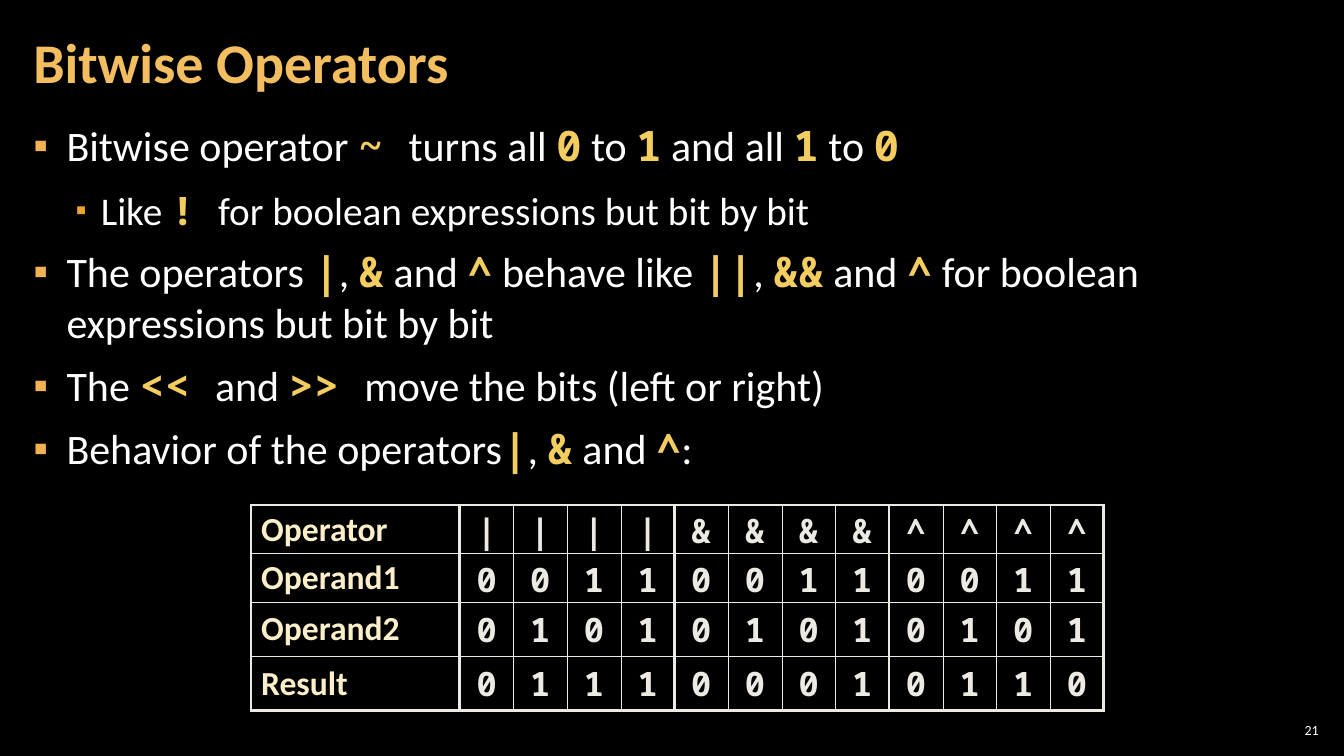
import dataclasses
import typing

import lxml.etree
import pptx
import pptx.dml.color
import pptx.enum.text
import pptx.oxml.ns
import pptx.util

Inches = pptx.util.Inches
Pt = pptx.util.Pt
RGBColor = pptx.dml.color.RGBColor
Align = pptx.enum.text.PP_ALIGN
Anchor = pptx.enum.text.MSO_ANCHOR

BLACK = RGBColor(0x00, 0x00, 0x00)
WHITE = RGBColor(0xFF, 0xFF, 0xFF)
TITLE_GOLD = RGBColor(0xF3, 0xBE, 0x60)
CODE_YELLOW = RGBColor(0xF3, 0xCD, 0x60)
BULLET_GOLD = RGBColor(0xF2, 0xB2, 0x54)
SUB_BULLET_GOLD = RGBColor(0xF0, 0xA2, 0x2E)
LABEL_CREAM = RGBColor(0xFB, 0xEE, 0xC9)
GRID_IVORY = RGBColor(0xEC, 0xEA, 0xE3)

PROSE_FONT = "Calibri"
CODE_FONT = "Noto Sans Mono"
THICK, THIN = Pt(2.25), Pt(0.25)


@dataclasses.dataclass(frozen=True)
class Level:
    size: int
    indent: float
    hanging: float
    bullet_color: RGBColor
    bullet_percent: int


@dataclasses.dataclass(frozen=True)
class Point:
    text: str
    level: int = 0


@dataclasses.dataclass(frozen=True)
class Operator:
    symbol: str
    compute: typing.Callable[[int, int], int]


LEVELS = (
    Level(30, 0.33, 0.33, BULLET_GOLD, 100),
    Level(28, 0.67, 0.25, SUB_BULLET_GOLD, 80),
)

POINTS = (
    Point("Bitwise operator `~ `turns all `0` to `1` and all `1` to `0`"),
    Point("Like `! `for boolean expressions but bit by bit", 1),
    Point("The operators `|`, `&` and `^` behave like `||`, `&&` and `^`"
          " for boolean expressions but bit by bit"),
    Point("The `<< `and `>> `move the bits (left or right)"),
    Point("Behavior of the operators`|`, `&` and `^`:"),
)

OPERATORS = (
    Operator("|", lambda a, b: a | b),
    Operator("&", lambda a, b: a & b),
    Operator("^", lambda a, b: a ^ b),
)
BIT_PAIRS = ((0, 0), (0, 1), (1, 0), (1, 1))


def apply_format(target: typing.Any, values: dict[str, typing.Any]) -> None:
    for attribute, value in values.items():
        setattr(target, attribute, value)


def box(left: float, top: float, width: float, height: float) -> dict:
    return {"left": Inches(left), "top": Inches(top),
            "width": Inches(width), "height": Inches(height)}


def margins(side: float, edge: float = 0.04) -> dict:
    return {"margin_left": Inches(side), "margin_right": Inches(side),
            "margin_top": Inches(edge), "margin_bottom": Inches(edge)}


def add_xml(parent: typing.Any, tag: str, **attributes: str) -> typing.Any:
    return lxml.etree.SubElement(parent, pptx.oxml.ns.qn(tag), attributes)


def add_run(paragraph: typing.Any, text: str, size: int, color: RGBColor,
            name: str = PROSE_FONT, bold: bool = False) -> None:
    run = paragraph.add_run()
    run.text = text
    apply_format(run.font, {"size": Pt(size), "name": name, "bold": bold})
    run.font.color.rgb = color


def add_point(paragraph: typing.Any, point: Point) -> None:
    level = LEVELS[point.level]
    apply_format(paragraph, {"level": point.level, "line_spacing": Pt(36),
                             "space_before": Pt(3), "space_after": Pt(6)})
    properties = paragraph._p.get_or_add_pPr()
    properties.set("marL", str(Inches(level.indent)))
    properties.set("indent", str(-Inches(level.hanging)))
    bullet_color = add_xml(properties, "a:buClr")
    add_xml(bullet_color, "a:srgbClr", val=str(level.bullet_color))
    add_xml(properties, "a:buSzPct", val=str(level.bullet_percent * 1000))
    add_xml(properties, "a:buFont", typeface="Arial")
    add_xml(properties, "a:buChar", char="▪")
    for position, part in enumerate(point.text.split("`")):
        if not part:
            continue
        if position % 2:
            add_run(paragraph, part, level.size, CODE_YELLOW, CODE_FONT, True)
        else:
            add_run(paragraph, part, level.size, WHITE)


def set_borders(cell: typing.Any, widths: dict[str, int]) -> None:
    properties = cell._tc.get_or_add_tcPr()
    for side, width in widths.items():
        line = add_xml(properties, f"a:ln{side}", w=str(width))
        fill = add_xml(line, "a:solidFill")
        add_xml(fill, "a:srgbClr", val=str(GRID_IVORY))


def truth_rows() -> list[list[str]]:
    rows = [["Operator"], ["Operand1"], ["Operand2"], ["Result"]]
    for operator in OPERATORS:
        for first, second in BIT_PAIRS:
            column = (operator.symbol, first, second, operator.compute(first, second))
            for row, value in zip(rows, column):
                row.append(str(value))
    return rows


def fill_cell(cell: typing.Any, text: str, is_label: bool) -> None:
    cell.vertical_anchor = Anchor.MIDDLE
    paragraph = cell.text_frame.paragraphs[0]
    paragraph.line_spacing = 0.95
    before = add_xml(paragraph._p.get_or_add_pPr(), "a:spcBef")
    add_xml(before, "a:spcPct", val="40000")
    if is_label:
        add_run(paragraph, text, 24, LABEL_CREAM, bold=True)
    else:
        apply_format(cell, margins(0.04))
        paragraph.alignment = Align.CENTER
        add_run(paragraph, text, 24, GRID_IVORY, CODE_FONT, True)


def add_truth_table(slide: typing.Any) -> None:
    rows = truth_rows()
    last_row, last_column = len(rows) - 1, len(rows[0]) - 1
    group = len(BIT_PAIRS)
    table = slide.shapes.add_table(last_row + 1, last_column + 1,
                                   **box(2.49, 5.01, 8.46, 2.03)).table
    apply_format(table, {"first_row": False, "horz_banding": False})
    for index, column in enumerate(table.columns):
        column.width = Inches((8.46 - 2.07) / last_column if index else 2.07)
    for row, height in zip(table.rows, (0.4, 0.4, 0.54, 0.54)):
        row.height = Inches(height)
    for r, values in enumerate(rows):
        for c, text in enumerate(values):
            cell = table.cell(r, c)
            fill_cell(cell, text, c == 0)
            set_borders(cell, {
                "L": THICK if c == 0 or c % group == 1 else THIN,
                "R": THICK if c % group == 0 else THIN,
                "T": THICK if r == 0 else THIN,
                "B": THICK if r == last_row else THIN,
            })
            cell.fill.background()


def main() -> None:
    deck = pptx.Presentation()
    apply_format(deck, {"slide_width": Inches(13.33), "slide_height": Inches(7.5)})
    slide = deck.slides.add_slide(deck.slide_layouts[1])
    slide.background.fill.solid()
    slide.background.fill.fore_color.rgb = BLACK

    heading = slide.shapes.title
    apply_format(heading, box(0.21, 0.04, 10.47, 1.21))
    apply_format(heading.text_frame, {**margins(0.12), "vertical_anchor": Anchor.MIDDLE,
                                      "word_wrap": True})
    heading_line = heading.text_frame.paragraphs[0]
    apply_format(heading_line, {"alignment": Align.LEFT, "line_spacing": 0.9})
    add_run(heading_line, "Bitwise Operators", 40, TITLE_GOLD, bold=True)

    points = slide.placeholders[1]
    apply_format(points, box(0.21, 1.15, 12.91, 6.2))
    apply_format(points.text_frame, {**margins(0.12), "vertical_anchor": Anchor.TOP,
                                     "word_wrap": True})
    for index, point in enumerate(POINTS):
        frame = points.text_frame
        add_point(frame.add_paragraph() if index else frame.paragraphs[0], point)

    page_number = slide.shapes.add_textbox(**box(12.65, 7.14, 0.47, 0.21)).text_frame
    apply_format(page_number, {**margins(0.04), "vertical_anchor": Anchor.MIDDLE,
                               "word_wrap": True})
    page_number.paragraphs[0].alignment = Align.RIGHT
    add_run(page_number.paragraphs[0], "21", 10, WHITE)

    add_truth_table(slide)
    deck.save("out.pptx")


if __name__ == "__main__":
    main()
